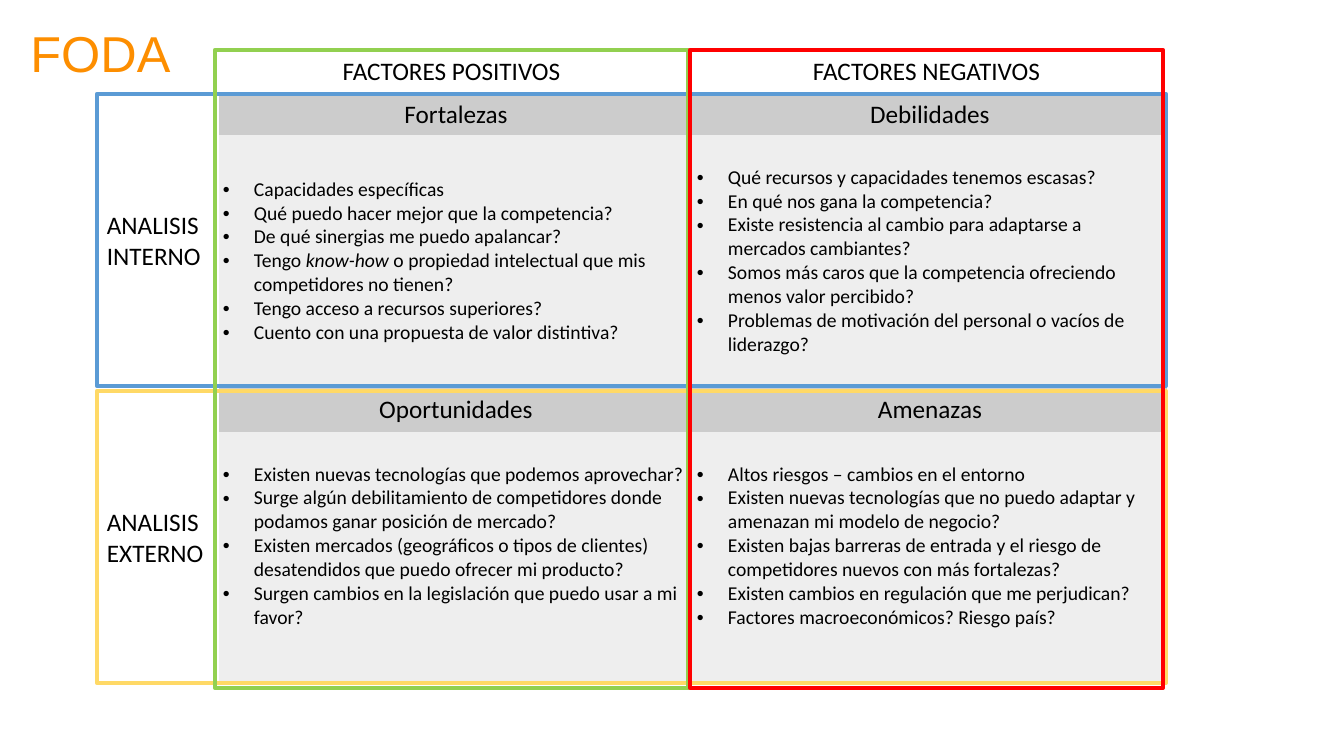
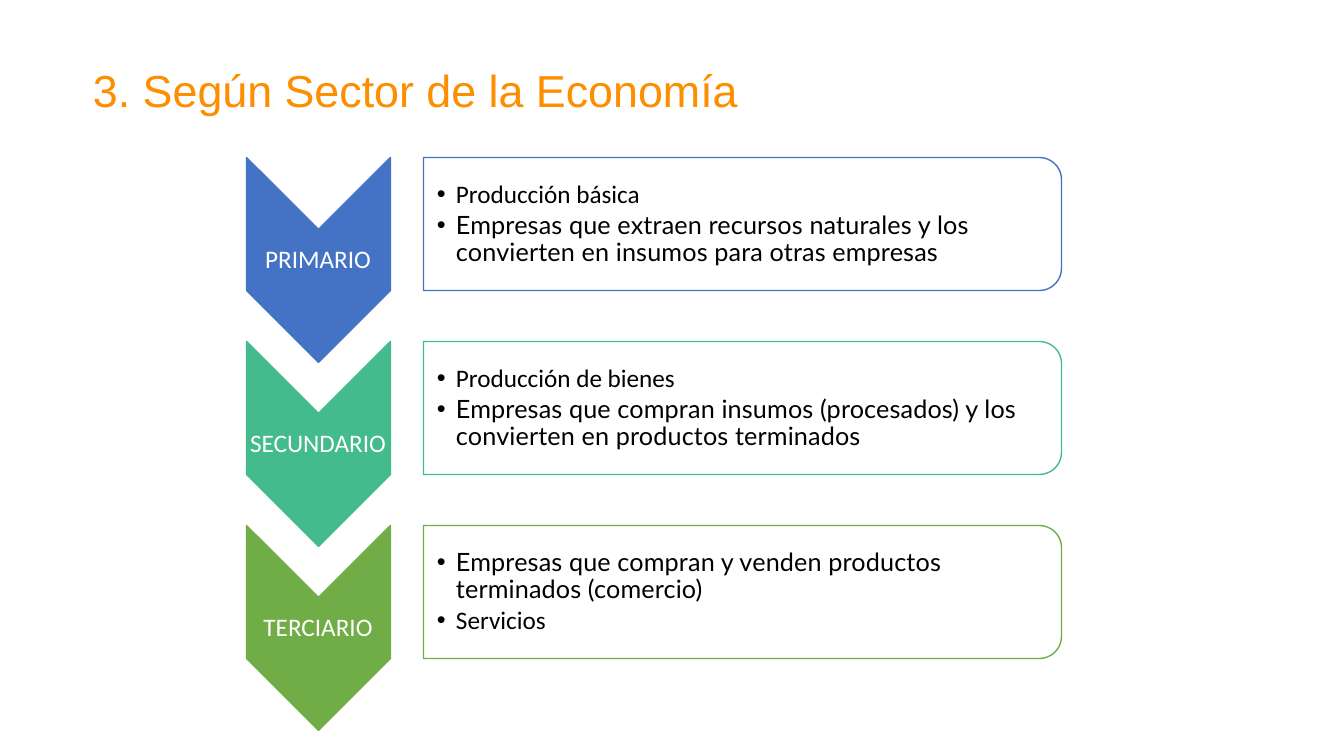
from dataclasses import dataclass

from lxml import etree
from pptx import Presentation
from pptx.dml.color import RGBColor
from pptx.enum.shapes import MSO_SHAPE
from pptx.enum.text import MSO_ANCHOR, PP_ALIGN
from pptx.oxml.ns import qn
from pptx.util import Emu, Pt

RECTANGLE = MSO_SHAPE.RECTANGLE
CHEVRON = MSO_SHAPE.CHEVRON
ROUND_TOP = MSO_SHAPE.ROUND_2_SAME_RECTANGLE
TOP, MIDDLE = MSO_ANCHOR.TOP, MSO_ANCHOR.MIDDLE
LEFT, CENTER = PP_ALIGN.LEFT, PP_ALIGN.CENTER

EMU_PER_PX = 914400 / 100.8
PLAIN_TABLE = "{2D5ABB26-0587-4C30-8999-92F81FD0307C}"


def px(length: int) -> Emu:
    return Emu(round(length * EMU_PER_PX))


@dataclass(frozen=True)
class Theme:
    title: str = "FD8E00"
    ink: str = "000000"
    white: str = "FFFFFF"
    heading_fill: str = "CCCCCC"
    body_fill: str = "EEEEEE"
    internal: str = "5B9BD5"
    external: str = "FFD966"
    positive: str = "92D050"
    negative: str = "FF0000"
    primary: str = "4472C4"
    secondary: str = "43BB8D"
    tertiary: str = "70AD47"
    title_font: str = "Arial"
    body_font: str = "Calibri"
    detail_font: str = "Lato"
    matrix_title_size: int = 36
    title_size: int = 32
    label_size: int = 18
    question_size: int = 14
    frame_line: int = 3
    sector_line: int = 1


THEME = Theme()


@dataclass(frozen=True)
class Box:
    left: int
    top: int
    width: int
    height: int

    def emu(self) -> tuple[Emu, Emu, Emu, Emu]:
        return px(self.left), px(self.top), px(self.width), px(self.height)


@dataclass(frozen=True)
class TextStyle:
    size: int
    color: str = THEME.ink
    font: str = THEME.body_font
    align: PP_ALIGN = LEFT
    line_spacing: float = 1.0


LABEL = TextStyle(THEME.label_size)
CENTERED = TextStyle(THEME.label_size, align=CENTER)
QUESTION = TextStyle(THEME.question_size)
SECTOR_LABEL = TextStyle(THEME.label_size, THEME.white, align=CENTER, line_spacing=0.9)
SECTOR_POINT = TextStyle(THEME.label_size, line_spacing=0.9)
SECTOR_DETAIL = TextStyle(THEME.label_size, font=THEME.detail_font, line_spacing=0.9)


@dataclass(frozen=True)
class FactorFrame:
    text: str
    box: Box
    color: str
    style: TextStyle
    anchor: MSO_ANCHOR


@dataclass(frozen=True)
class Quadrant:
    row: int
    column: int
    heading: str
    questions: tuple[str, ...]


@dataclass(frozen=True)
class Sector:
    name: str
    color: str
    points: tuple[tuple[str, TextStyle], ...]


# Text between asterisks is set in italics
QUADRANTS = (
    Quadrant(0, 0, "Fortalezas", (
        "Capacidades específicas",
        "Qué puedo hacer mejor que la competencia?",
        "De qué sinergias me puedo apalancar?",
        "Tengo *know-how* o propiedad intelectual que mis competidores no tienen?",
        "Tengo acceso a recursos superiores?",
        "Cuento con una propuesta de valor distintiva?")),
    Quadrant(0, 1, "Debilidades", (
        "Qué recursos y capacidades tenemos escasas?",
        "En qué nos gana la competencia?",
        "Existe resistencia al cambio para adaptarse a mercados cambiantes?",
        "Somos más caros que la competencia ofreciendo menos valor percibido?",
        "Problemas de motivación del personal o vacíos de liderazgo?")),
    Quadrant(1, 0, "Oportunidades", (
        "Existen nuevas tecnologías que podemos aprovechar?",
        "Surge algún debilitamiento de competidores donde podamos ganar posición de mercado?",
        "Existen mercados (geográficos o tipos de clientes) desatendidos que puedo ofrecer mi producto?",
        "Surgen cambios en la legislación que puedo usar a mi favor?")),
    Quadrant(1, 1, "Amenazas", (
        "Altos riesgos – cambios en el entorno",
        "Existen nuevas tecnologías que no puedo adaptar y amenazan mi modelo de negocio?",
        "Existen bajas barreras de entrada y el riesgo de competidores nuevos con más fortalezas?",
        "Existen cambios en regulación que me perjudican?",
        "Factores macroeconómicos? Riesgo país?")),
)

FACTOR_FRAMES = (
    FactorFrame("ANALISIS\nINTERNO", Box(97, 94, 1069, 292), THEME.internal, LABEL, MIDDLE),
    FactorFrame("ANALISIS\nEXTERNO", Box(97, 391, 1069, 292), THEME.external, LABEL, MIDDLE),
    FactorFrame("FACTORES POSITIVOS", Box(215, 50, 473, 638), THEME.positive, CENTERED, TOP),
    FactorFrame("FACTORES NEGATIVOS", Box(690, 50, 473, 638), THEME.negative, CENTERED, TOP),
)

SECTORS = (
    Sector("PRIMARIO", THEME.primary, (
        ("Producción básica", SECTOR_POINT),
        ("Empresas que extraen recursos naturales y los convierten en insumos para otras empresas",
         SECTOR_DETAIL))),
    Sector("SECUNDARIO", THEME.secondary, (
        ("Producción de bienes", SECTOR_POINT),
        ("Empresas que compran insumos (procesados) y los convierten en productos terminados",
         SECTOR_DETAIL))),
    Sector("TERCIARIO", THEME.tertiary, (
        ("Empresas que compran y venden productos terminados (comercio)", SECTOR_DETAIL),
        ("Servicios", SECTOR_POINT))),
)

# Matrix and sector grids
MATRIX = Box(219, 94, 948, 590)
MATRIX_ROWS = (41, 252, 45, 252)
EXTERNAL_BOTTOM_MARGIN = 26
SECTOR_STEP = 184


# Text helpers
def format_paragraph(paragraph, style: TextStyle) -> None:
    paragraph.alignment = style.align
    paragraph.line_spacing = style.line_spacing
    for run in paragraph.runs:
        run.font.name = style.font
        run.font.size = Pt(style.size)
        run.font.color.rgb = RGBColor.from_string(style.color)
        if style.font == THEME.detail_font:
            run.font._element.set("spc", "10")


def write(frame, text: str, style: TextStyle) -> None:
    frame.text = text
    for paragraph in frame.paragraphs:
        format_paragraph(paragraph, style)


def write_bullets(frame, points: tuple[tuple[str, TextStyle], ...], indent: int,
                  space_after: float = 0) -> None:
    for index, (text, style) in enumerate(points):
        paragraph = frame.add_paragraph() if index else frame.paragraphs[0]
        for part_index, part in enumerate(text.split("*")):
            run = paragraph.add_run()
            run.text = part
            run.font.italic = part_index % 2 == 1
        format_paragraph(paragraph, style)
        paragraph.space_after = Pt(space_after)
        properties = paragraph._p.get_or_add_pPr()
        properties.set("marL", str(px(indent)))
        properties.set("indent", str(-px(indent)))
        etree.SubElement(properties, qn("a:buFont")).set("typeface", "Arial")
        etree.SubElement(properties, qn("a:buChar")).set("char", "•")


def add_text_area(slide, box: Box, inset: int, left_inset: int | None = None):
    frame = slide.shapes.add_textbox(*box.emu()).text_frame
    frame.word_wrap = True
    frame.vertical_anchor = MIDDLE
    frame.margin_left = px(inset if left_inset is None else left_inset)
    frame.margin_top = frame.margin_right = frame.margin_bottom = px(inset)
    return frame


def add_title(slide, text: str, box: Box, size: int, align: PP_ALIGN) -> None:
    style = TextStyle(size, THEME.title, THEME.title_font, align, 0.9)
    write(add_text_area(slide, box, 8), text, style)


# Shape helpers
def add_outline(slide, kind: MSO_SHAPE, box: Box, color: str, width: int,
                fill: str | None = None, rotation: int = 0):
    shape = slide.shapes.add_shape(kind, *box.emu())
    shape.shadow.inherit = False
    shape.rotation = rotation
    shape.line.color.rgb = RGBColor.from_string(color)
    shape.line.width = Pt(width)
    if fill is None:
        shape.fill.background()
    else:
        shape.fill.solid()
        shape.fill.fore_color.rgb = RGBColor.from_string(fill)
    return shape


def add_factor_frame(slide, factor: FactorFrame) -> None:
    shape = add_outline(slide, RECTANGLE, factor.box, factor.color, THEME.frame_line)
    shape.text_frame.vertical_anchor = factor.anchor
    write(shape.text_frame, factor.text, factor.style)


def prepare_cell(cell, fill: str, bottom_margin: int = 2):
    cell.fill.solid()
    cell.fill.fore_color.rgb = RGBColor.from_string(fill)
    cell.vertical_anchor = MIDDLE
    cell.margin_left = cell.margin_right = px(4)
    cell.margin_top = px(2)
    cell.margin_bottom = px(bottom_margin)
    return cell.text_frame


def add_matrix(slide) -> None:
    graphic = slide.shapes.add_table(len(MATRIX_ROWS), 2, *MATRIX.emu())
    table = graphic.table
    table.first_row = table.horz_banding = False
    next(graphic.element.iter(qn("a:tableStyleId"))).text = PLAIN_TABLE
    for column in table.columns:
        column.width = px(MATRIX.width // 2)
    for row, height in zip(table.rows, MATRIX_ROWS):
        row.height = px(height)
    for quadrant in QUADRANTS:
        heading_row = quadrant.row * 2
        heading = table.cell(heading_row, quadrant.column)
        write(prepare_cell(heading, THEME.heading_fill), quadrant.heading, CENTERED)
        body = table.cell(heading_row + 1, quadrant.column)
        bottom = EXTERNAL_BOTTOM_MARGIN if quadrant.row else 2
        questions = tuple((question, QUESTION) for question in quadrant.questions)
        write_bullets(prepare_cell(body, THEME.body_fill, bottom), questions, 31)


def add_sector(slide, sector: Sector, offset: int) -> None:
    add_outline(slide, CHEVRON, Box(216, 188 + offset, 205, 144), sector.color,
                THEME.sector_line, sector.color, rotation=90)
    write(add_text_area(slide, Box(246, 230 + offset, 144, 61), 1), sector.name, SECTOR_LABEL)

    # Translucent panel, rounded on the right once turned
    panel = add_outline(slide, ROUND_TOP, Box(676, offset - 95, 133, 638), sector.color,
                        THEME.sector_line, THEME.white, rotation=90)
    fill_color = panel.element.spPr.find(qn("a:solidFill"))[0]
    etree.SubElement(fill_color, qn("a:alpha")).set("val", "90000")
    points = add_text_area(slide, Box(423, 164 + offset, 631, 120), 1, left_inset=14)
    write_bullets(points, sector.points, 19, space_after=2.7)


# Slides
def build_matrix_slide(slide) -> None:
    add_title(slide, "FODA", Box(18, 19, 165, 75), THEME.matrix_title_size, CENTER)
    add_matrix(slide)
    for factor in FACTOR_FRAMES:
        add_factor_frame(slide, factor)


def build_sector_slide(slide) -> None:
    add_title(slide, "3. Según Sector de la Economía", Box(85, 25, 1175, 136),
              THEME.title_size, LEFT)
    for index, sector in enumerate(SECTORS):
        add_sector(slide, sector, index * SECTOR_STEP)


def main() -> None:
    deck = Presentation()
    deck.slide_width, deck.slide_height = px(1344), px(756)
    blank = deck.slide_layouts[6]
    for build in (build_matrix_slide, build_sector_slide):
        build(deck.slides.add_slide(blank))
    deck.save("out.pptx")


if __name__ == "__main__":
    main()
